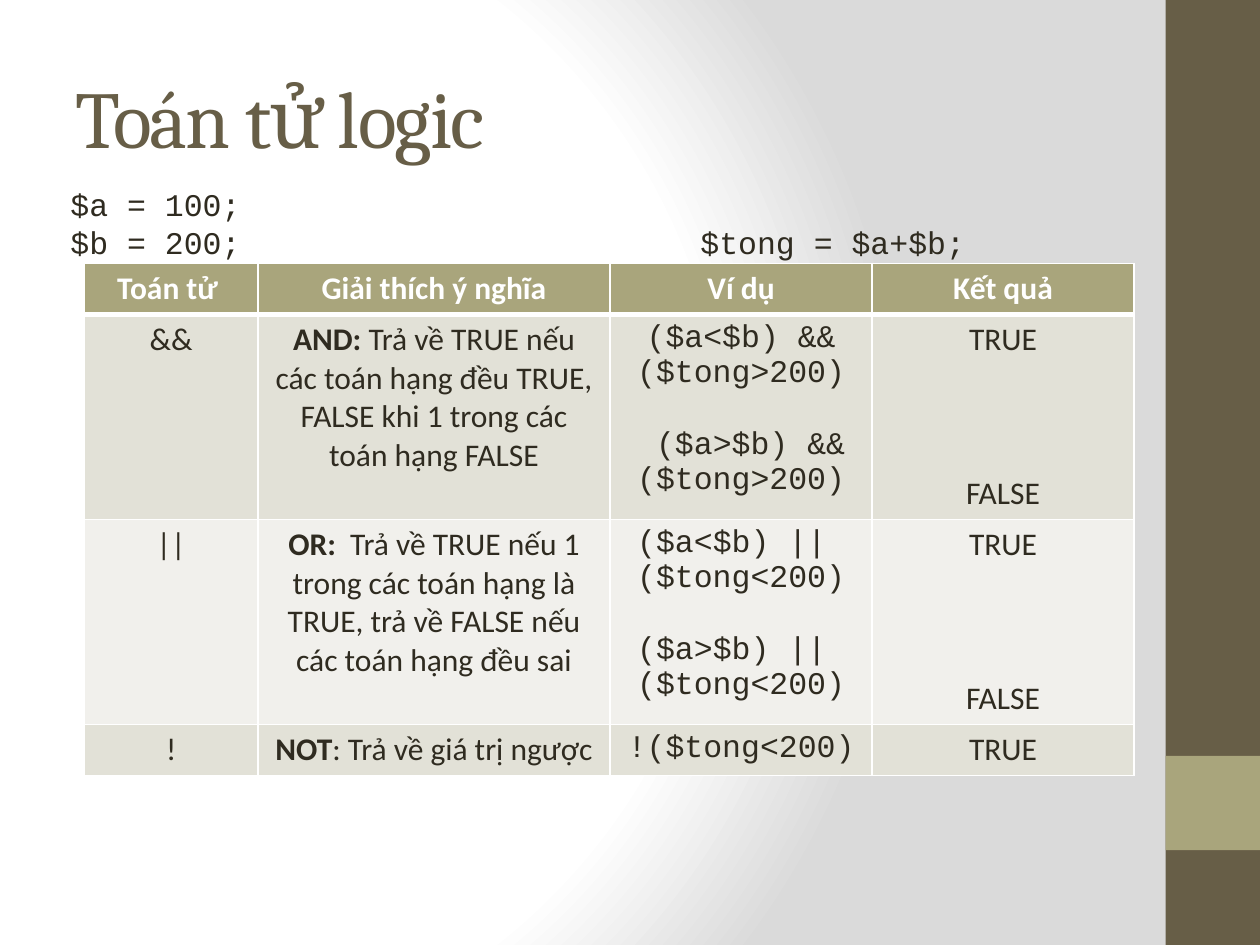
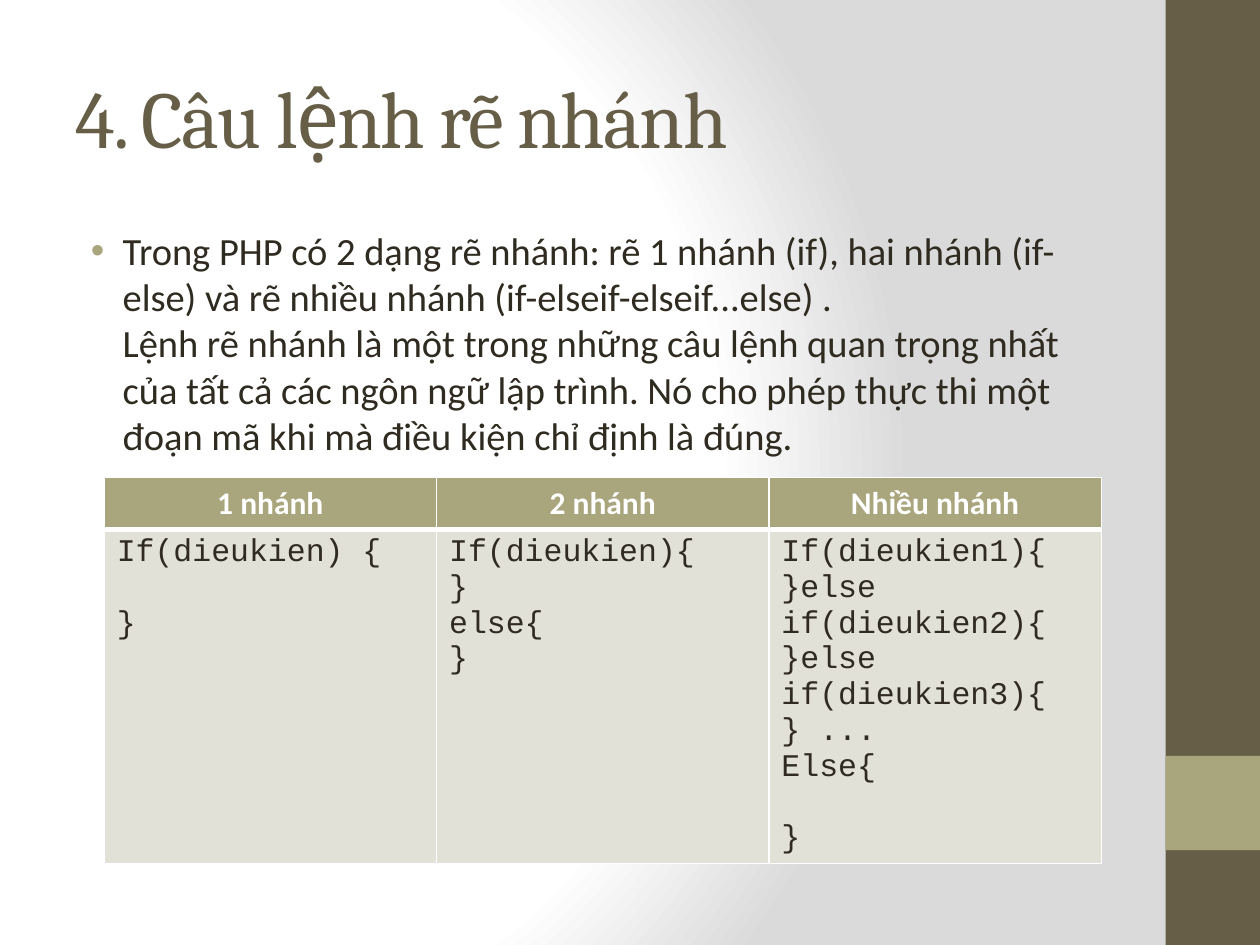
from lxml.etree import SubElement
from pptx import Presentation
from pptx.dml.color import RGBColor
from pptx.enum.shapes import MSO_SHAPE
from pptx.enum.text import MSO_ANCHOR, MSO_AUTO_SIZE, PP_ALIGN
from pptx.oxml import parse_xml
from pptx.oxml.ns import nsdecls, qn
from pptx.util import Cm, Pt

COLORS = {
    "brown": "675E47", "olive": "A9A57C", "text": "2F2B20", "white": "FFFFFF",
    "row_dark": "E2E1D7", "row_light": "F1F0EC", "bg_edge": "DADADA",
}
HEAD, BODY, CODE = "Cambria", "Calibri", "Courier New"
LINE_PT = {BODY: 22, CODE: 20.4}  # line height of 18 pt text

# A cell is a list of lines ("" leaves a gap) or a (bold lead, rest) tuple.
LOGIC = {
    "title": "Toán tử logic",
    "code": "$a = 100;\n$b = 200;\t$tong = $a+$b;",
    "left": 1.7, "top": 5.31,
    "widths": [3.5, 7.1, 5.28, 5.28], "heights": [1.02, 4.12, 4.12, 1.02],
    "align": PP_ALIGN.CENTER, "code_cols": {2},
    "rows": [
        [["Toán tử "], ["Giải thích ý nghĩa"], ["Ví dụ"], ["Kết quả"]],
        [["&&"],
         ("AND: ", "Trả về TRUE nếu các toán hạng đều TRUE, FALSE khi 1 trong các toán hạng FALSE"),
         ["($a<$b) && ($tong>200)", "", " ($a>$b) && ($tong>200)"],
         ["TRUE", "", "", "", "FALSE"]],
        [["||"],
         ("OR: ", " Trả về TRUE nếu 1 trong các toán hạng là TRUE, trả về FALSE nếu các toán hạng đều sai"),
         ["($a<$b) ||  ($tong<200)", "", "($a>$b) ||  ($tong<200)"],
         ["TRUE", "", "", "", "FALSE"]],
        [["!"], ("NOT", ": Trả về giá trị ngược"), ["!($tong<200)"], ["TRUE"]],
    ],
}
BRANCH = {
    "title": "4. Câu lệnh rẽ nhánh",
    "bullet": "Trong PHP có 2 dạng rẽ nhánh: rẽ 1 nhánh (if), hai nhánh (if-else) "
              "và rẽ nhiều nhánh (if-elseif-elseif...else) .\v"
              "Lệnh rẽ nhánh là một trong những câu lệnh quan trọng nhất của tất cả "
              "các ngôn ngữ lập trình. Nó cho phép thực thi một đoạn mã khi mà điều "
              "kiện chỉ định là đúng.",
    "left": 2.1, "top": 9.63,
    "widths": [6.7] * 3, "heights": [1.04, 6.73],
    "align": PP_ALIGN.LEFT, "code_cols": {0, 1, 2},
    "rows": [
        [["1 nhánh"], ["2 nhánh"], ["Nhiều nhánh"]],
        [["If(dieukien) {", "", "}"],
         ["If(dieukien){", "}", "else{", "}"],
         ["If(dieukien1){", "}else if(dieukien2){", "}else if(dieukien3){",
          "} ...", "Else{", "", "}"]],
    ],
}


def rgb(name):
    return RGBColor.from_string(COLORS[name])


def style(p, size, font, color="text", bold=False):
    for r in p.runs:
        r.font.size, r.font.name, r.font.bold = Pt(size), font, bold
        r.font.color.rgb = rgb(color)


def place(shape, left, top, width, height):
    shape.left, shape.top, shape.width, shape.height = map(Cm, (left, top, width, height))


def set_background(master):
    fill = master.background.fill
    fill.gradient()
    stops = "".join(
        f'<a:gs pos="{pos}000"><a:srgbClr val="{COLORS[c]}"/></a:gs>'
        for pos, c in [(0, "white"), (75, "white"), (100, "bg_edge")])
    grad = master.element.find(".//" + qn("p:bgPr")).find(qn("a:gradFill"))
    grad.getparent().replace(grad, parse_xml(
        f'<a:gradFill {nsdecls("a")} rotWithShape="1"><a:gsLst>{stops}</a:gsLst>'
        '<a:path path="circle"><a:fillToRect l="20000" t="50000" r="100000" b="50000"/>'
        '</a:path></a:gradFill>'))


def new_slide(prs, layout, title):
    """Add a slide with the side bands and the styled title."""
    s = prs.slides.add_slide(prs.slide_layouts[layout])
    for top, height, color in [(0, 19.05, "brown"), (15.24, 1.9, "olive")]:
        band = s.shapes.add_shape(MSO_SHAPE.RECTANGLE, Cm(23.5), Cm(top), Cm(1.9), Cm(height))
        band.shadow.inherit = False
        band.fill.solid()
        band.fill.fore_color.rgb = rgb(color)
        band.line.fill.background()
    place(s.shapes.title, 1.27, 0.76, 21.16, 3.18)
    tf = s.shapes.title.text_frame
    tf.text = title
    tf.auto_size, tf.vertical_anchor = MSO_AUTO_SIZE.NONE, MSO_ANCHOR.MIDDLE
    p = tf.paragraphs[0]
    p.alignment = PP_ALIGN.LEFT
    style(p, 46, HEAD, "brown")
    p.runs[0].font._element.set("spc", "-100")
    return s


def set_borders(cell, **widths):
    """Draw white cell borders; widths in points by side (L, R, T, B)."""
    tc_pr = cell._tc.get_or_add_tcPr()
    for i, side in enumerate("LRTB"):
        tc_pr.insert(i, parse_xml(
            f'<a:ln{side} {nsdecls("a")} w="{Pt(widths.get(side, 1))}"><a:solidFill>'
            f'<a:srgbClr val="{COLORS["white"]}"/></a:solidFill></a:ln{side}>'))


def fill_cell(cell, content, font, color, bold, align):
    tf = cell.text_frame
    if isinstance(content, tuple):
        p = tf.paragraphs[0]
        for part in content:
            p.add_run().text = part
        style(p, 18, font, color)
        p.runs[0].font.bold = True
        p.alignment = align
        return
    gap = 0
    for i, line in enumerate(content):
        if not line:
            gap += LINE_PT[font]
            continue
        p = tf.add_paragraph() if i else tf.paragraphs[0]
        p.text, p.alignment = line, align
        if gap:
            p.space_before = Pt(gap)
        gap = 0
        style(p, 18, font, color, bold)


def add_grid(s, data):
    rows, widths, heights = data["rows"], data["widths"], data["heights"]
    table = s.shapes.add_table(
        len(rows), len(widths), Cm(data["left"]), Cm(data["top"]),
        Cm(sum(widths)), Cm(sum(heights))).table
    for col, width in zip(table.columns, widths):
        col.width = Cm(width)
    for i, (row, height) in enumerate(zip(rows, heights)):
        table.rows[i].height = Cm(height)
        header = i == 0
        back = "olive" if header else ("row_light", "row_dark")[i % 2]
        for j, content in enumerate(row):
            cell = table.cell(i, j)
            cell.fill.solid()
            cell.fill.fore_color.rgb = rgb(back)
            set_borders(cell, T=3 if i == 1 else 1, B=3 if header else 1)
            font = CODE if not header and j in data["code_cols"] else BODY
            fill_cell(cell, content, font, "white" if header else "text", header,
                      PP_ALIGN.CENTER if header else data["align"])


def add_code(s, code):
    tf = s.shapes.add_textbox(Cm(1.17), Cm(3.6), Cm(21.16), Cm(1.8)).text_frame
    tf.word_wrap = True
    tf.text = code
    for p in tf.paragraphs:
        tabs = SubElement(p._p.get_or_add_pPr(), qn("a:tabLst"))
        SubElement(tabs, qn("a:tab"), pos=str(Cm(12.7)), algn="l")
        style(p, 18, CODE)


def add_bullet(s, text):
    body = s.placeholders[1]
    place(body, 1.27, 4.45, 21.16, 13.33)
    tf = body.text_frame
    tf.text = text
    tf.auto_size = MSO_AUTO_SIZE.NONE
    p = tf.paragraphs[0]
    p.space_before = Pt(0)
    p_pr = p._p.get_or_add_pPr()
    p_pr.set("marL", str(Cm(0.95)))
    p_pr.set("indent", str(Cm(-0.64)))
    color = SubElement(p_pr, qn("a:buClr"))
    SubElement(color, qn("a:srgbClr"), val=COLORS["olive"])
    SubElement(p_pr, qn("a:buFont"), typeface="Arial")
    SubElement(p_pr, qn("a:buChar"), char="•")
    style(p, 22, BODY)


def main():
    prs = Presentation()
    prs.slide_width, prs.slide_height = Cm(25.4), Cm(19.05)
    set_background(prs.slide_master)

    s = new_slide(prs, 5, LOGIC["title"])
    add_grid(s, LOGIC)
    add_code(s, LOGIC["code"])

    s = new_slide(prs, 1, BRANCH["title"])
    add_bullet(s, BRANCH["bullet"])
    add_grid(s, BRANCH)

    prs.save("out.pptx")


if __name__ == "__main__":
    main()
